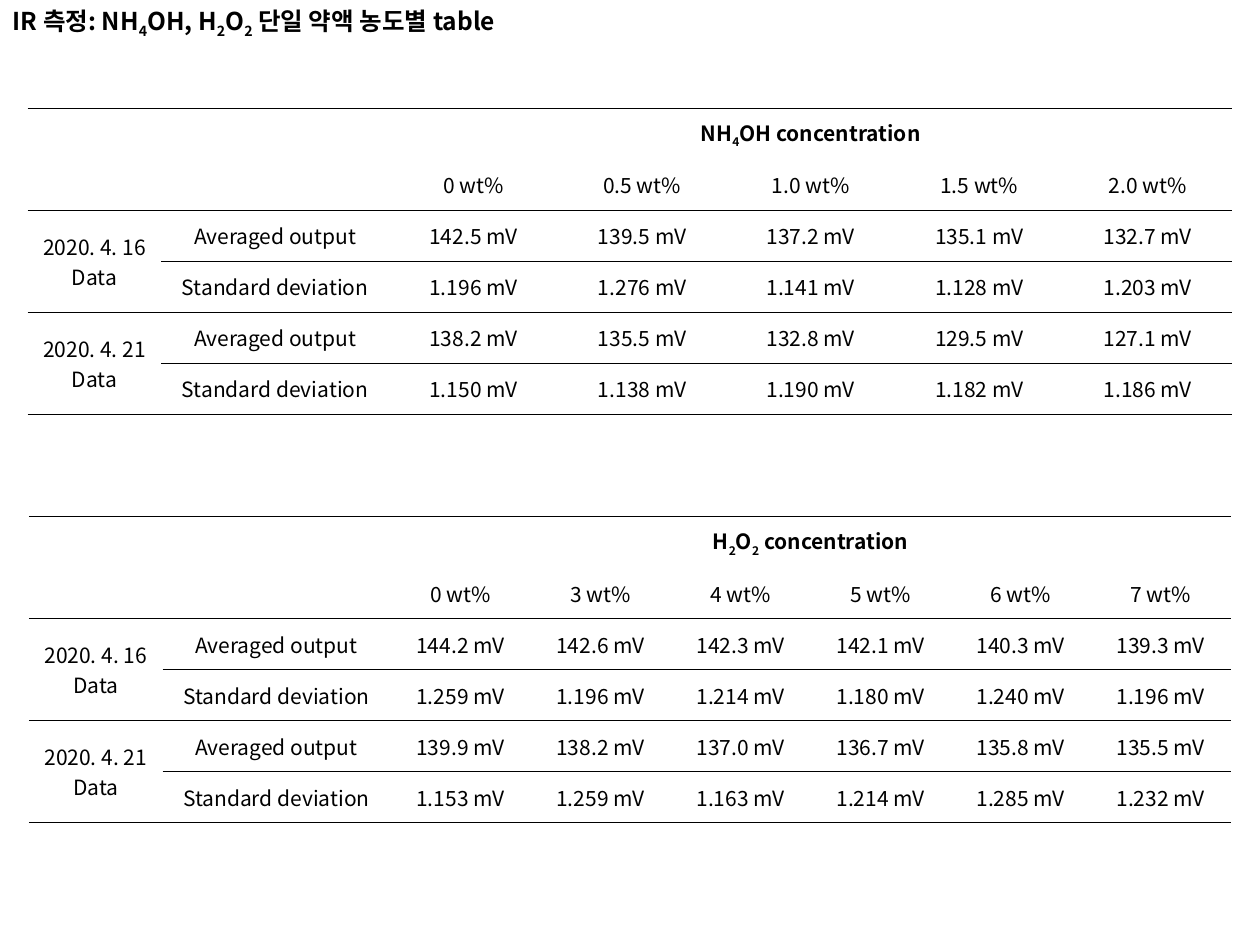
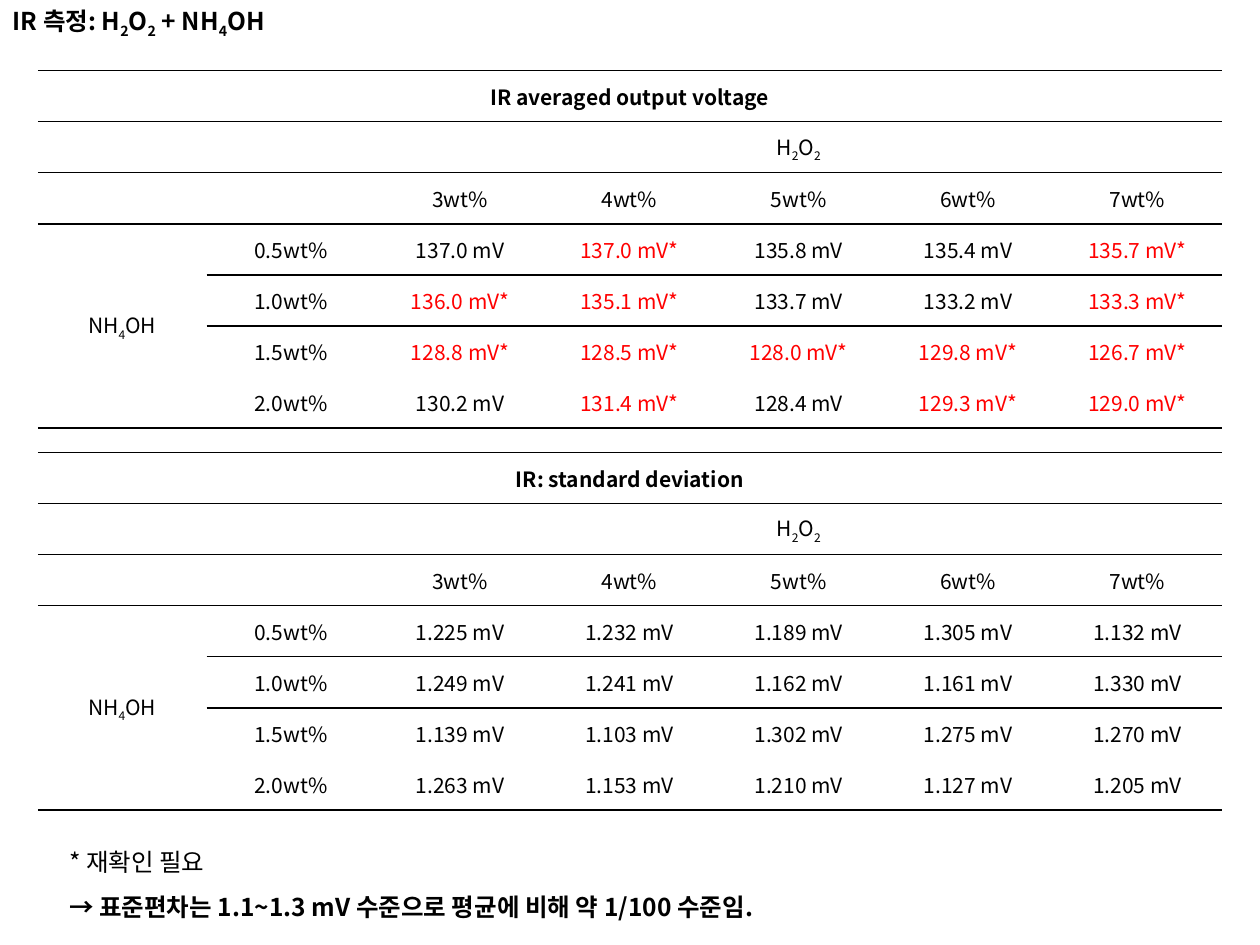
from pptx import Presentation
from pptx.dml.color import RGBColor
from pptx.enum.text import MSO_ANCHOR as ANCHOR, MSO_AUTO_SIZE as AUTO, PP_ALIGN as ALIGN
from pptx.oxml import parse_xml
from pptx.oxml.ns import nsdecls, qn
from pptx.util import Inches, Pt

# Shared style
FONT = "Noto Sans CJK KR"
BLACK = RGBColor(0x00, 0x00, 0x00)
RED = RGBColor(0xFF, 0x00, 0x00)
NO_GRID = "{2D5ABB26-0587-4C30-8999-92F81FD0307C}"
TITLE = {"size": Pt(14), "bold": True}
NOTE = {"size": Pt(14), "bold": False}
HEAD = {"size": Pt(12), "bold": True}
CELL = {"size": Pt(12), "bold": False}

# Measured data: one line per table row
NH4OH_LEVELS = ["0 wt%", "0.5 wt%", "1.0 wt%", "1.5 wt%", "2.0 wt%"]
NH4OH_DATA = [
    ["142.5", "139.5", "137.2", "135.1", "132.7"],
    ["1.196", "1.276", "1.141", "1.128", "1.203"],
    ["138.2", "135.5", "132.8", "129.5", "127.1"],
    ["1.150", "1.138", "1.190", "1.182", "1.186"],
]
H2O2_LEVELS = ["0 wt%", "3 wt%", "4 wt%", "5 wt%", "6 wt%", "7 wt%"]
H2O2_DATA = [
    ["144.2", "142.6", "142.3", "142.1", "140.3", "139.3"],
    ["1.259", "1.196", "1.214", "1.180", "1.240", "1.196"],
    ["139.9", "138.2", "137.0", "136.7", "135.8", "135.5"],
    ["1.153", "1.259", "1.163", "1.214", "1.285", "1.232"],
]
MIX_H2O2 = ["3wt%", "4wt%", "5wt%", "6wt%", "7wt%"]
MIX_NH4OH = ["0.5wt%", "1.0wt%", "1.5wt%", "2.0wt%"]
MIX_OUTPUT = [
    ["137.0", "137.0*", "135.8", "135.4", "135.7*"],
    ["136.0*", "135.1*", "133.7", "133.2", "133.3*"],
    ["128.8*", "128.5*", "128.0*", "129.8*", "126.7*"],
    ["130.2", "131.4*", "128.4", "129.3*", "129.0*"],
]
MIX_DEVIATION = [
    ["1.225", "1.232", "1.189", "1.305", "1.132"],
    ["1.249", "1.241", "1.162", "1.161", "1.330"],
    ["1.139", "1.103", "1.302", "1.275", "1.270"],
    ["1.263", "1.153", "1.210", "1.127", "1.205"],
]


def add_run(p, text, style, color, subscript=False):
    r = p.add_run()
    r.text = text
    r.font.name = FONT
    r.font.color.rgb = color
    for name, value in style.items():
        setattr(r.font, name, value)
    rPr = r.font._element
    rPr.find(qn("a:latin")).addnext(
        parse_xml(f'<a:ea {nsdecls("a")} typeface="{FONT}"/>'))
    if subscript:
        rPr.set("baseline", "-25000")


def write(p, text, style, color=BLACK):
    """Write text; the character after each underscore is a subscript."""
    first, *parts = text.split("_")
    if first:
        add_run(p, first, style, color)
    for part in parts:
        add_run(p, part[0], style, color, subscript=True)
        if part[1:]:
            add_run(p, part[1:], style, color)


def add_title(slide, text, width):
    sp = slide.shapes.title
    sp.left, sp.top, sp.width, sp.height = 0, 0, Inches(width), Inches(0.34)
    tf = sp.text_frame
    tf.auto_size, tf.word_wrap, tf.vertical_anchor = AUTO.NONE, False, ANCHOR.TOP
    p = tf.paragraphs[0]
    p.alignment = ALIGN.LEFT
    write(p, text, TITLE)


def add_notes_box(slide, box, lines):
    tf = slide.shapes.add_textbox(*map(Inches, box)).text_frame
    tf.word_wrap = False
    for i, (text, style) in enumerate(lines):
        p = tf.add_paragraph() if i else tf.paragraphs[0]
        p.line_spacing = 1.5
        write(p, text, style)


def add_border(cell, tag):
    tcPr = cell._tc.get_or_add_tcPr()
    if tcPr.find(qn(tag)) is not None:
        return
    line = parse_xml(
        f'<{tag} {nsdecls("a")} w="12700"><a:solidFill>'
        f'<a:srgbClr val="{BLACK}"/></a:solidFill></{tag}>')
    if tag == "a:lnT":
        tcPr.insert(0, line)
    else:
        tcPr.find(qn("a:noFill")).addprevious(line)


def fill_cell(cell, text, style):
    cell.fill.background()
    cell.vertical_anchor = ANCHOR.MIDDLE
    tf = cell.text_frame
    for i, line in enumerate(text.split("\n")):
        p = tf.add_paragraph() if i else tf.paragraphs[0]
        p.alignment = ALIGN.CENTER
        if line:
            write(p, line, style, RED if line.endswith("*") else BLACK)
        else:
            p._p.get_or_add_endParaRPr().set("sz", "1200")


def add_ruled_table(slide, box, label_widths, rows, spans, rules):
    """spans: (row, col, last row, last col); rules: {line: first column}."""
    n_rows, n_cols = len(rows), len(rows[0])
    table = slide.shapes.add_table(n_rows, n_cols, *map(Inches, box)).table
    table.first_row = table.horz_banding = False
    table._tbl.tblPr.find(qn("a:tableStyleId")).text = NO_GRID
    value_width = (box[2] - sum(label_widths)) / (n_cols - len(label_widths))
    for c, col in enumerate(table.columns):
        col.width = Inches(label_widths[c] if c < len(label_widths) else value_width)

    for r, row in enumerate(rows):
        for c, text in enumerate(row):
            fill_cell(table.cell(r, c), text, CELL if r else HEAD)
    for line, first_col in rules.items():
        for c in range(first_col, n_cols):
            if line < n_rows:
                add_border(table.cell(line, c), "a:lnT")
            if line:
                add_border(table.cell(line - 1, c), "a:lnB")
    for r, c, last_r, last_c in spans:
        origin = table.cell(r, c)
        origin.merge(table.cell(last_r, last_c))
        if last_r > r:
            add_border(origin, "a:lnB")


def with_unit(values):
    return [v.replace("*", "") + " mV" + "*" * v.endswith("*") for v in values]


def add_single_table(slide, box, chemical, levels, data):
    """Output and deviation of one chemical on two days."""
    blanks = [""] * (len(levels) - 1)
    labels = [["2020. 4. 16\nData", "Averaged output"], ["", "Standard deviation"],
              ["2020. 4. 21\nData", "Averaged output"], ["", "Standard deviation"]]
    rows = [["", "", f"{chemical} concentration"] + blanks, ["", ""] + levels]
    rows += [label + with_unit(values) for label, values in zip(labels, data)]
    spans = [(0, 2, 0, len(levels) + 1), (2, 0, 3, 0), (4, 0, 5, 0)]
    add_ruled_table(slide, box, [1.06, 1.81], rows, spans,
                    {0: 0, 2: 0, 3: 1, 4: 0, 5: 1, 6: 0})


def add_mix_table(slide, top, heading, data):
    """Grid of NH4OH against H2O2 concentration."""
    rows = [[heading] + [""] * 6, ["", "", "H_2O_2"] + [""] * 4, ["", ""] + MIX_H2O2]
    for i, (level, values) in enumerate(zip(MIX_NH4OH, data)):
        rows.append(["" if i else "NH_4OH", level] + with_unit(values))
    add_ruled_table(slide, (0.3, top, 9.4, 2.84), [1.34, 1.34], rows,
                    [(0, 0, 0, 6), (1, 2, 1, 6), (3, 0, 6, 0)],
                    {0: 0, 1: 0, 2: 0, 3: 0, 4: 1, 7: 0})


def main():
    prs = Presentation()
    prs.slide_width, prs.slide_height = Inches(10), Inches(7.5)
    title_only = prs.slide_layouts[5]

    # Slide 1: each chemical alone
    s = prs.slides.add_slide(title_only)
    add_title(s, "IR 측정: NH_4OH, H_2O_2 단일 약액 농도별 table", 4.42)
    add_single_table(s, (0.22, 0.86, 9.56, 2.43), "NH_4OH", NH4OH_LEVELS, NH4OH_DATA)
    add_single_table(s, (0.23, 4.1, 9.54, 2.43), "H_2O_2", H2O2_LEVELS, H2O2_DATA)

    # Slide 2: both chemicals mixed
    s = prs.slides.add_slide(title_only)
    add_title(s, "IR 측정: H_2O_2 + NH_4OH", 2.39)
    add_mix_table(s, 0.56, "IR averaged output voltage", MIX_OUTPUT)
    add_mix_table(s, 3.59, "IR: standard deviation", MIX_DEVIATION)
    add_notes_box(s, (0.45, 6.56, 6.1, 0.81), [
        ("* 재확인 필요", NOTE),
        ("→ 표준편차는 1.1~1.3 mV 수준으로 평균에 비해 약 1/100 수준임.", TITLE),
    ])

    prs.save("out.pptx")


if __name__ == "__main__":
    main()
